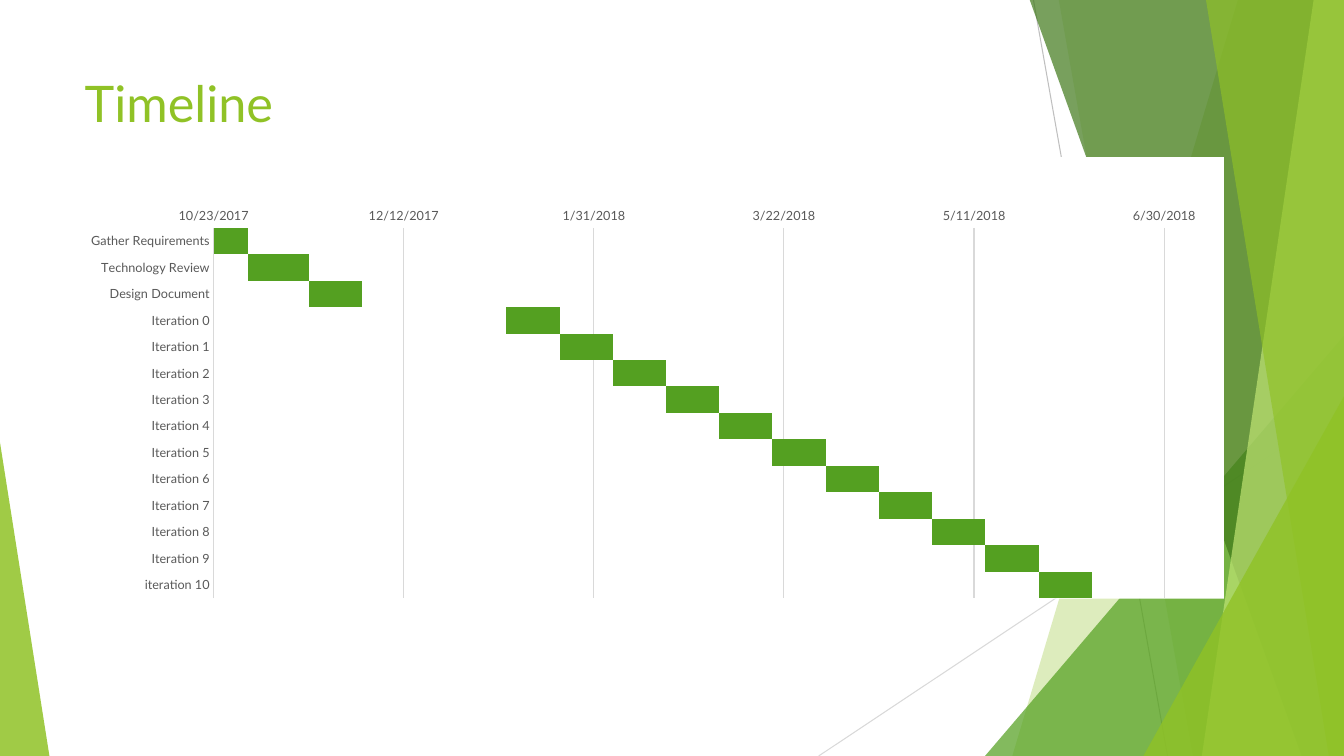
import pptx
import pptx.chart.data
import pptx.dml.color
import pptx.enum.chart
import pptx.enum.shapes
import pptx.enum.text
import pptx.oxml
import pptx.oxml.ns
import pptx.util
from pptx.dml.color import RGBColor
from pptx.util import Inches, Pt

LIME = RGBColor(0x90, 0xC2, 0x26)
GREEN = RGBColor(0x54, 0xA0, 0x21)
FOREST = RGBColor(0x3F, 0x78, 0x19)
PALE = RGBColor(0xC0, 0xE4, 0x74)
GRAY = RGBColor(0x59, 0x59, 0x59)
SILVER = RGBColor(0xBF, 0xBF, 0xBF)
LIGHT = RGBColor(0xD9, 0xD9, 0xD9)
FONT = "Lato"
W, H, TOP = 13.33, 7.5, -0.01
NS = pptx.oxml.ns.nsdecls("a", "c")
qn = pptx.oxml.ns.qn


def paint(sp, color, opacity):
    sp.shadow.inherit = False
    sp.line.fill.background()
    sp.fill.solid()
    sp.fill.fore_color.rgb = color
    clr = sp.fill._xPr.find(".//" + qn("a:srgbClr"))
    clr.append(pptx.oxml.parse_xml(f'<a:alpha {NS} val="{opacity * 1000}"/>'))


def add_triangle(x, y, w, h, apex, color, opacity):
    sp = s.shapes.add_shape(pptx.enum.shapes.MSO_SHAPE.ISOSCELES_TRIANGLE,
                            Inches(x), Inches(y), Inches(w), Inches(h))
    sp.adjustments[0] = apex
    paint(sp, color, opacity)


prs = pptx.Presentation()
prs.slide_width, prs.slide_height = Inches(W), Inches(H)
s = prs.slides.add_slide(prs.slide_layouts[5])

for x1, y1, x2, y2, color in [(10.25, 0, 11.58, H, SILVER), (W, 4.03, 8.12, H, LIGHT)]:
    line = s.shapes.add_connector(pptx.enum.shapes.MSO_CONNECTOR.STRAIGHT,
                                  Inches(x1), Inches(y1), Inches(x2), Inches(y2))
    line.line.color.rgb = color
    line.line.width = Pt(0.75)
    line._element.spPr.append(pptx.oxml.parse_xml(f"<a:effectLst {NS}/>"))

bands = [
    (12.28, 10.04, LIME, 30),
    (10.5, 11.83, LIME, 20),
    (10.21, 12.91, FOREST, 70),
    (13.03, 11.92, PALE, 70),
    (11.96, 13.18, LIME, 65),
]
for i, (top_x, bottom_x, color, opacity) in enumerate(bands):
    if i == 2:
        add_triangle(9.77, 3.33, 3.56, 4.17, 1, GREEN, 72)
    fb = s.shapes.build_freeform(Inches(top_x), Inches(TOP))
    fb.add_line_segments([(Inches(x), Inches(y)) for x, y in
                          [(W, TOP), (W, H), (bottom_x, H)]])
    paint(fb.convert_to_shape(), color, opacity)
add_triangle(11.34, 3.93, 1.99, 3.57, 1, LIME, 80)
add_triangle(0, 4.39, 0.49, 3.11, 0, LIME, 85)

title = s.shapes.title
title.left, title.top, title.width, title.height = map(Inches, (0.74, 0.67, 9.4, 1.44))
tf = title.text_frame
tf.text = "Timeline"
tf.word_wrap = True
tf.auto_size = pptx.enum.text.MSO_AUTO_SIZE.NONE
tf.vertical_anchor = pptx.enum.text.MSO_ANCHOR.TOP
p = tf.paragraphs[0]
p.alignment = pptx.enum.text.PP_ALIGN.LEFT
p.font.name, p.font.size, p.font.color.rgb = FONT, Pt(36), LIME

data = pptx.chart.data.CategoryChartData()
data.categories = (["Gather Requirements", "Technology Review", "Design Document"]
                   + [f"Iteration {n}" for n in range(10)] + ["iteration 10"])
data.add_series("Series 1", [43031, 43040, 43056] + [43108 + 14 * n for n in range(11)])
data.add_series("Series 2", [9, 16] + [14] * 12)
chart = s.shapes.add_chart(pptx.enum.chart.XL_CHART_TYPE.BAR_STACKED, Inches(0.28),
                           Inches(1.56), Inches(11.86), Inches(4.38), data).chart
chart.has_legend = False
chart.has_title = False
chart.font.name, chart.font.size = FONT, Pt(10)

plot = chart.plots[0]
plot.gap_width, plot.overlap, plot.vary_by_categories = 0, 100, False
starts, durations = plot.series
starts.format.fill.background()
starts.format.line.fill.background()
durations.format.fill.solid()
durations.format.fill.fore_color.rgb = GREEN

tasks, dates = chart.category_axis, chart.value_axis
for axis in (tasks, dates):
    axis.major_tick_mark = axis.minor_tick_mark = pptx.enum.chart.XL_TICK_MARK.NONE
    font = axis.tick_labels.font
    font.name, font.size, font.color.rgb = FONT, Pt(9), GRAY
tasks.reverse_order = True
dates.minimum_scale, dates.maximum_scale, dates.major_unit = 43031, 43281, 50
dates.tick_labels.number_format = "m/d/yyyy"
dates.tick_labels.number_format_is_linked = False
dates.format.line.fill.background()
dates.has_major_gridlines = True
for rule in (tasks.format.line, dates.major_gridlines.format.line):
    rule.color.rgb = LIGHT
    rule.width = Pt(0.75)

area = chart._chartSpace.chart.plotArea
for layout in area.findall(qn("c:layout")):
    area.remove(layout)
area.insert(0, pptx.oxml.parse_xml(
    f'<c:layout {NS}><c:manualLayout><c:layoutTarget val="inner"/>'
    '<c:xMode val="edge"/><c:yMode val="edge"/><c:x val="0.155"/><c:y val="0.16"/>'
    '<c:w val="0.795"/><c:h val="0.839"/></c:manualLayout></c:layout>'))
chart._chartSpace.chart.addnext(pptx.oxml.parse_xml(
    f'<c:spPr {NS}><a:solidFill><a:srgbClr val="FFFFFF"/></a:solidFill>'
    '<a:ln><a:noFill/></a:ln></c:spPr>'))

prs.save("out.pptx")
